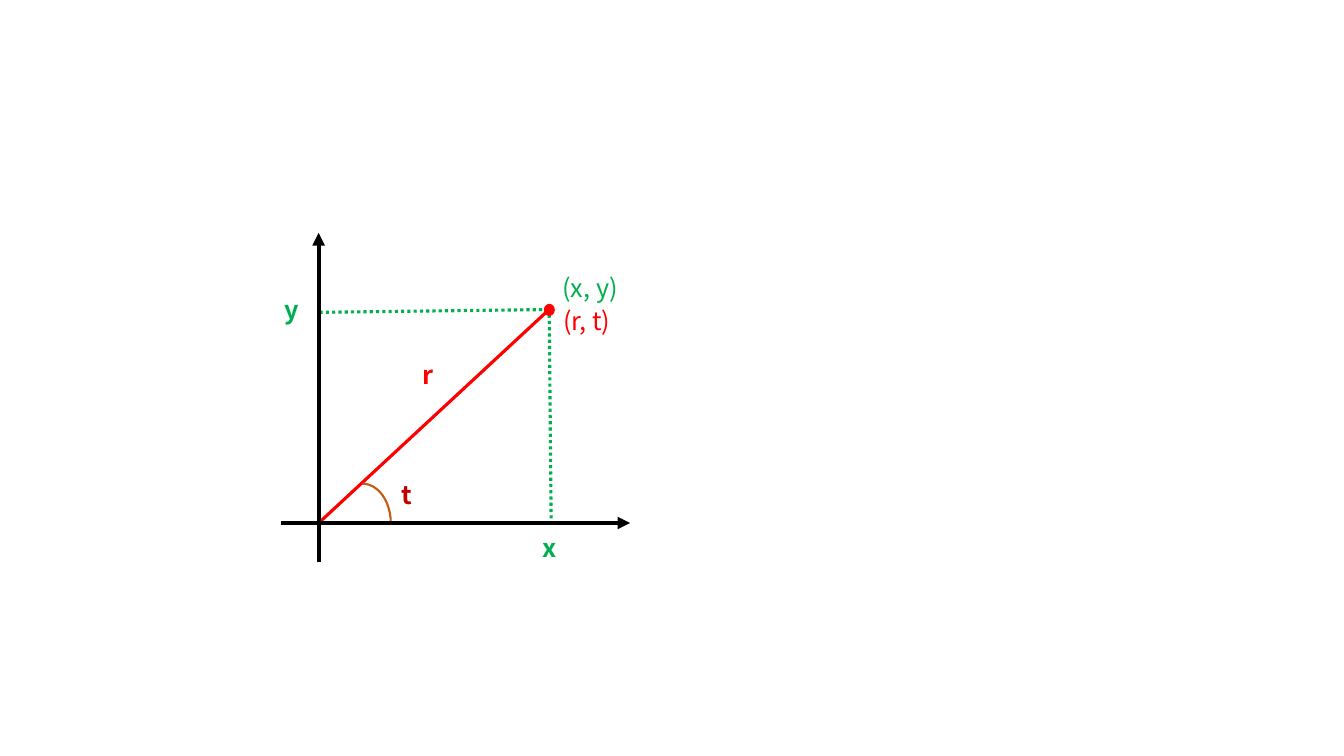
"""Slide with a point in Cartesian and polar coordinates."""
from pptx import Presentation
from pptx.dml.color import RGBColor
from pptx.enum.dml import MSO_LINE
from pptx.enum.shapes import MSO_CONNECTOR, MSO_SHAPE
from pptx.enum.text import MSO_AUTO_SIZE
from pptx.oxml.ns import qn
from pptx.util import Cm, Pt
from lxml import etree

BLACK = RGBColor(0x00, 0x00, 0x00)
GREEN = RGBColor(0x00, 0xB0, 0x50)
RED = RGBColor(0xFF, 0x00, 0x00)
DARK_RED = RGBColor(0xC0, 0x00, 0x00)
ORANGE = RGBColor(0xC5, 0x5A, 0x11)
FONT = "Noto Sans CJK KR"
STRAIGHT = MSO_CONNECTOR.STRAIGHT
DOTTED = MSO_LINE.ROUND_DOT
ARC, OVAL = MSO_SHAPE.ARC, MSO_SHAPE.OVAL
FIT = MSO_AUTO_SIZE.SHAPE_TO_FIT_TEXT
ORIGIN_X, ORIGIN_Y = 8.03, 13.18


def add_line(start, end, color, width, dash=None, arrow=False):
    line = s.shapes.add_connector(STRAIGHT, *map(Cm, start + end))
    line.line.color.rgb = color
    line.line.width = Pt(width)
    if dash:
        line.line.dash_style = dash
    if arrow:
        etree.SubElement(line.line._get_or_add_ln(), qn("a:tailEnd"), type="triangle")
    etree.SubElement(line._element.spPr, qn("a:effectLst"))


def add_label(text, left, top, width, color, bold):
    tf = s.shapes.add_textbox(Cm(left), Cm(top), Cm(width), Cm(1.02)).text_frame
    tf.word_wrap = True
    tf.auto_size = FIT
    r = tf.paragraphs[0].add_run()
    r.text = text
    for name, value in {"name": FONT, "size": Pt(18), "bold": bold}.items():
        setattr(r.font, name, value)
    r.font.color.rgb = color


prs = Presentation()
prs.slide_width, prs.slide_height = Cm(33.87), Cm(19.05)
s = prs.slides.add_slide(prs.slide_layouts[6])

add_line((13.82, 7.8), (ORIGIN_X, 7.87), GREEN, 2.25, DOTTED)
add_line((13.84, 7.77), (13.89, ORIGIN_Y), GREEN, 2.25, DOTTED)
add_line((ORIGIN_X, ORIGIN_Y), (13.87, 7.77), RED, 2.25)

angle = s.shapes.add_shape(ARC, Cm(8.43), Cm(12.19), Cm(1.42), Cm(1.98))
angle.shadow.inherit = False
angle.fill.background()
angle.line.color.rgb = ORANGE
angle.line.width = Pt(1.5)

for label in (
    ("t", 9.86, 11.96, 1.17, DARK_RED, True),
    ("r", 10.39, 8.94, 1.73, RED, True),
    ("x", 13.41, 13.28, 1.24, GREEN, True),
    ("y", 6.93, 7.29, 1.24, GREEN, True),
):
    add_label(*label)

add_line((7.09, ORIGIN_Y), (15.88, ORIGIN_Y), BLACK, 3, arrow=True)
add_line((ORIGIN_X, 14.17), (ORIGIN_X, 5.87), BLACK, 3, arrow=True)

point = s.shapes.add_shape(OVAL, Cm(13.72), Cm(7.67), Cm(0.25), Cm(0.28))
point.shadow.inherit = False
point.fill.solid()
point.fill.fore_color.rgb = RED
point.line.color.rgb = RED

add_label("(x, y)", 13.92, 6.73, 2.06, GREEN, False)
add_label("(r, t)", 13.94, 7.57, 2.06, RED, False)

prs.save("out.pptx")
